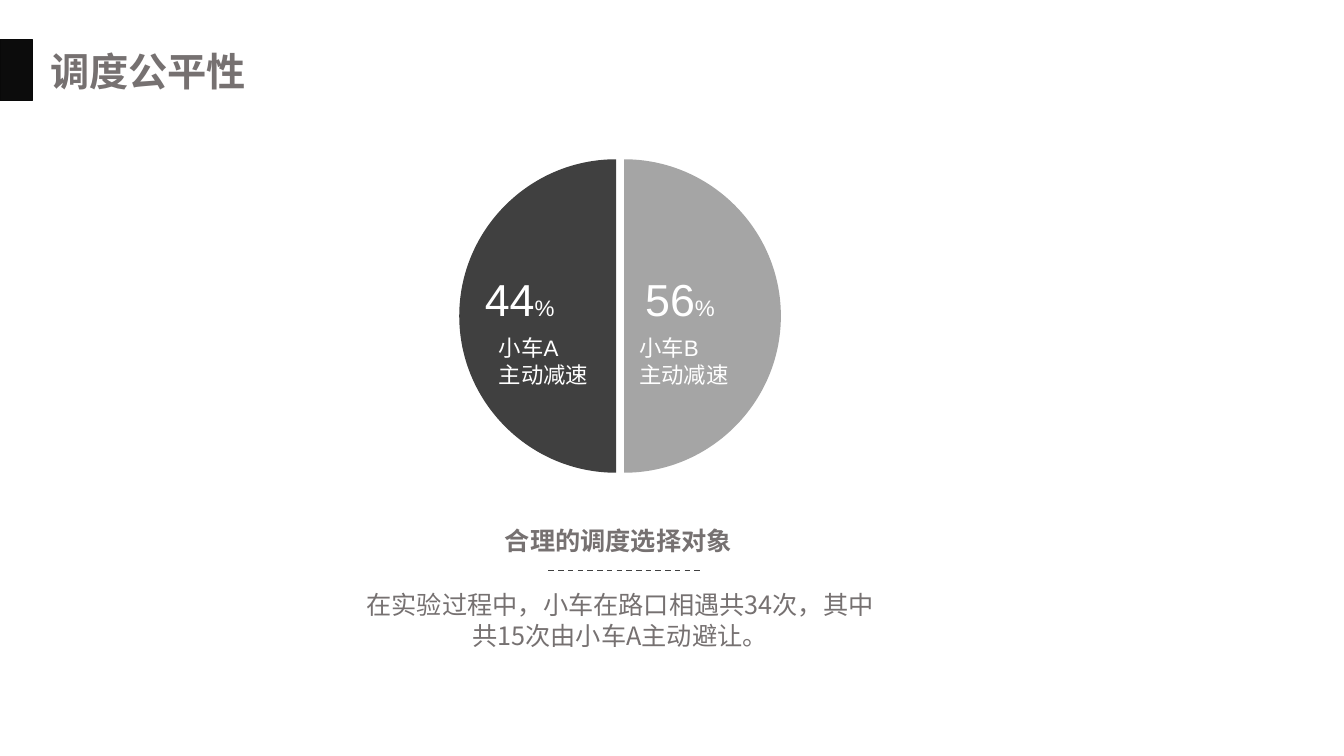
import pptx
import pptx.dml.color
import pptx.enum.dml
import pptx.enum.shapes
import pptx.enum.text
import pptx.oxml
import pptx.util
from pptx.util import Inches

CJK_FONT = "Noto Sans CJK SC"
GREY, WHITE, DARK, LIGHT = "767171", "FFFFFF", "404040", "A5A5A5"
NAMESPACE = 'xmlns:a="http://schemas.openxmlformats.org/drawingml/2006/main"'

TITLE = "调度公平性"
SUBTITLE = "合理的调度选择对象"
SUMMARY = "在实验过程中，小车在路口相遇共34次，其中共15次由小车A主动避让。"

# side (-1 left, 1 right), straight edge x, fill, share, share x, label, label x
HALVES = [
    (-1, 6.11, DARK, "44", 4.71, "小车A\n主动减速", 4.85),
    (1, 6.19, LIGHT, "56", 6.3, "小车B\n主动减速", 6.24),
]
DISC_TOP, DISC_HEIGHT = 1.58, 3.11
BEZIER_CIRCLE = 0.55


def color(hex_code):
    return pptx.dml.color.RGBColor.from_string(hex_code)


def style_run(run, size, font, hex_code, bold=False):
    run.font.size = pptx.util.Pt(size)
    run.font.name = font
    run.font.bold = bold
    run.font.color.rgb = color(hex_code)
    run.font._element.append(
        pptx.oxml.parse_xml(f'<a:ea {NAMESPACE} typeface="{CJK_FONT}"/>'))


def add_text(shapes, box, text, size, font=CJK_FONT, hex_code=GREY, bold=False, wrap=False):
    shape = shapes.add_textbox(*map(Inches, box))
    frame = shape.text_frame
    frame.text = text
    frame.word_wrap = wrap
    frame.auto_size = pptx.enum.text.MSO_AUTO_SIZE.SHAPE_TO_FIT_TEXT
    for paragraph in frame.paragraphs:
        for run in paragraph.runs:
            style_run(run, size, font, hex_code, bold)
    return shape


def add_half_disc(shapes, side, edge, hex_code):
    radius = DISC_HEIGHT / 2
    middle, bottom = DISC_TOP + radius, DISC_TOP + DISC_HEIGHT
    outer, handle = edge + side * radius, BEZIER_CIRCLE * radius
    near = edge + side * handle
    quarters = [
        [(near, DISC_TOP), (outer, middle - handle), (outer, middle)],
        [(outer, middle + handle), (near, bottom), (edge, bottom)],
    ]
    builder = shapes.build_freeform(Inches(edge), Inches(DISC_TOP))
    builder.add_line_segments(
        [tuple(map(Inches, quarter[-1])) for quarter in quarters], close=True)
    shape = builder.convert_to_shape()
    left, top = Inches(min(edge, outer)), Inches(DISC_TOP)
    lines = shape._element.xpath(".//a:lnTo")
    for line, quarter in zip(lines, quarters):
        points = "".join(f'<a:pt x="{Inches(x) - left}" y="{Inches(y) - top}"/>'
                         for x, y in quarter)
        line.getparent().replace(line, pptx.oxml.parse_xml(
            f"<a:cubicBezTo {NAMESPACE}>{points}</a:cubicBezTo>"))
    shape.shadow.inherit = False
    shape.fill.solid()
    shape.fill.fore_color.rgb = color(hex_code)
    shape.line.fill.background()


def add_title(shapes):
    marker = shapes.add_shape(
        pptx.enum.shapes.MSO_SHAPE.RECTANGLE, 0, Inches(0.39), Inches(0.32), Inches(0.61))
    marker.shadow.inherit = False
    marker.fill.solid()
    marker.fill.fore_color.rgb = color("0C0C0C")
    marker.line.color.rgb = color("090909")
    marker.line.width = pptx.util.Pt(1)
    add_text(shapes, (0.4, 0.42, 2.17, 0.57), TITLE, 28, bold=True)


def add_conclusion(shapes):
    add_text(shapes, (4.91, 5.16, 2.47, 0.4), SUBTITLE, 18, bold=True)
    summary = add_text(shapes, (3.45, 5.8, 5.4, 0.71), SUMMARY, 18, wrap=True)
    summary.text_frame.paragraphs[0].alignment = pptx.enum.text.PP_ALIGN.CENTER
    divider = shapes.add_connector(
        pptx.enum.shapes.MSO_CONNECTOR.STRAIGHT,
        Inches(5.44), Inches(5.66), Inches(6.94), Inches(5.66))
    divider.line.color.rgb = color(DARK)
    divider.line.width = pptx.util.Pt(1)
    divider.line.dash_style = pptx.enum.dml.MSO_LINE.DASH
    divider._element.spPr.append(pptx.oxml.parse_xml(f"<a:effectLst {NAMESPACE}/>"))


def add_shares(shapes):
    for side, edge, fill, *_ in HALVES:
        add_half_disc(shapes, side, edge, fill)
    for *_, share, share_left, _, _ in HALVES:
        number = add_text(shapes, (share_left, 2.65, 0.9, 0.64), share, 32, "Arial", WHITE)
        percent = number.text_frame.paragraphs[0].add_run()
        percent.text = "%"
        style_run(percent, 16, "Arial", WHITE)
    for *_, label, label_left in HALVES:
        add_text(shapes, (label_left, 3.27, 1.1, 0.64), label, 16, "Arial", WHITE)


def main():
    presentation = pptx.Presentation()
    presentation.slide_width = Inches(13.33)
    presentation.slide_height = Inches(7.5)
    slide = presentation.slides.add_slide(presentation.slide_layouts[6])
    add_title(slide.shapes)
    add_conclusion(slide.shapes.add_group_shape().shapes)
    add_shares(slide.shapes.add_group_shape().shapes)
    presentation.save("out.pptx")


if __name__ == "__main__":
    main()
